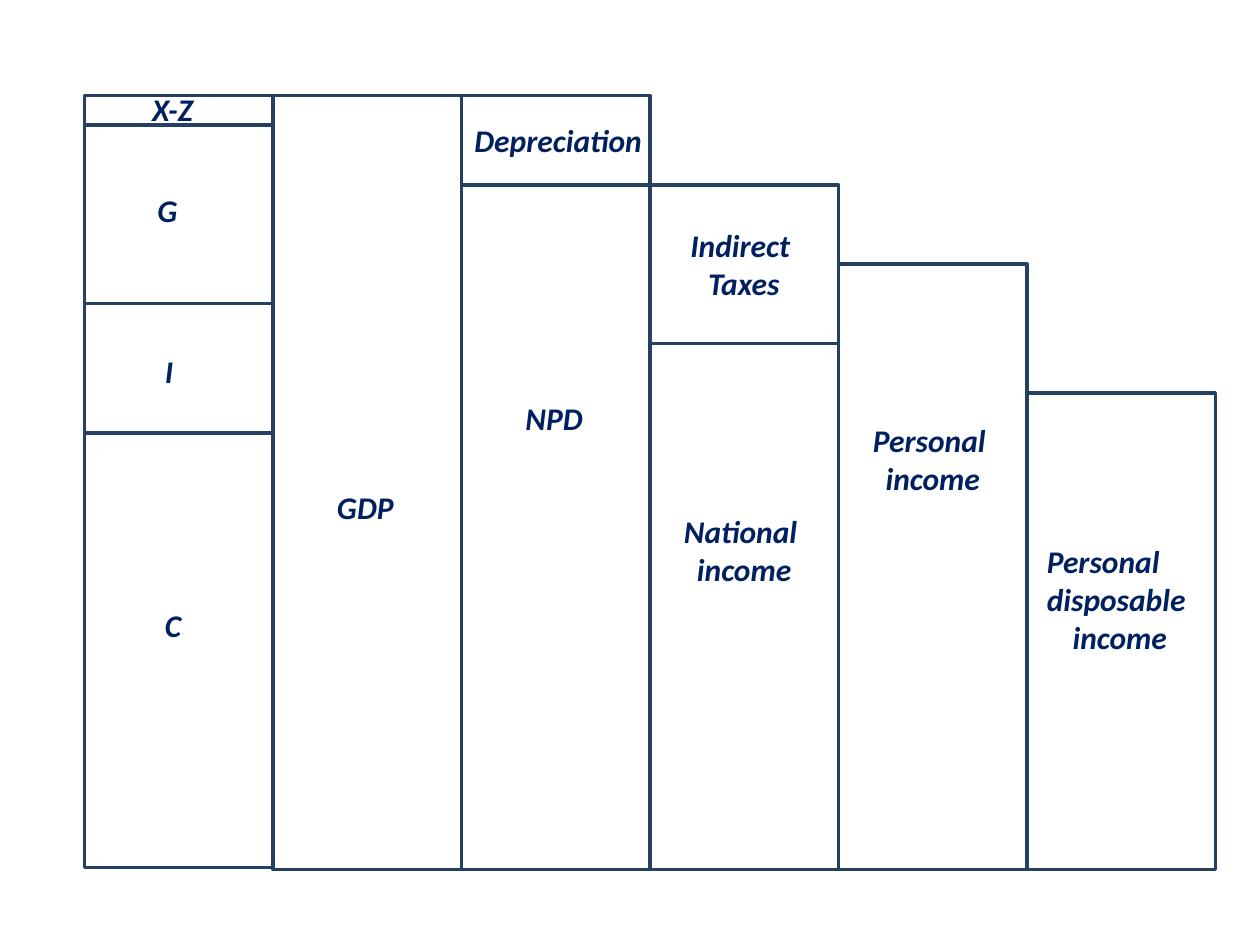
from dataclasses import dataclass
from itertools import pairwise

from pptx import Presentation
from pptx.dml.color import RGBColor
from pptx.enum.shapes import MSO_SHAPE
from pptx.enum.text import MSO_AUTO_SIZE as AutoSize, PP_ALIGN as Align
from pptx.util import Pt

OUTLINE = "254061"
INK = "002060"
FIRST_LEFT = 48.3
COLUMN_WIDTH = 107.7
BASE = 496.8


@dataclass(frozen=True)
class Column:
    """Horizontal edges of one stacked column, from top to bottom."""
    edges: tuple[float, ...]


@dataclass(frozen=True)
class Label:
    """Lines of text, their box, and the lines that are centred."""
    lines: tuple[str, ...]
    left: float
    top: float
    width: float
    height: float = 29
    centred: tuple[int, ...] = ()


COLUMNS = (
    Column((54.5, 71.5, 173.5, 247.5, 495.8)),  # expenditure
    Column((54.5, BASE)),  # GDP
    Column((54.5, 105.6, BASE)),  # depreciation and NPD
    Column((105.6, 196.4, BASE)),  # indirect taxes and national income
    Column((151, BASE)),  # personal income
    Column((224.6, BASE)),  # personal disposable income
)

LABELS = (
    Label(("X-Z",), 79.9, 48.2, 38.9, height=21.6),
    Label(("G",), 82.8, 105.8, 25.9),
    Label(("I",), 87.1, 197.5, 19.4),
    Label(("C",), 87.1, 342.5, 24.5),
    Label(("GDP",), 185.5, 275.3, 47.5),
    Label(("Depreciation",), 264, 65.5, 111.6),
    Label(("NPD",), 293.2, 224.6, 47.5),
    Label(("Indirect ", "Taxes"), 387.4, 125.5, 76.3, 51, (1,)),
    Label(("National ", "income"), 383.2, 289.2, 84.2, 51, (0, 1)),
    Label(("Personal ", "income"), 491, 236.9, 84.2, 51, (0, 1)),
    Label(("Personal ", "disposable ", "income"), 591.1, 306.2, 98.6, 72.7, (2,)),
)


def rgb(code: str) -> RGBColor:
    """Turn a hex string into a colour."""
    return RGBColor.from_string(code)


def add_block(slide, left: float, top: float, bottom: float) -> None:
    """Draw one outlined block of a column."""
    block = slide.shapes.add_shape(
        MSO_SHAPE.RECTANGLE, Pt(left), Pt(top), Pt(COLUMN_WIDTH), Pt(bottom - top))
    block.shadow.inherit = False
    block.fill.background()
    block.line.color.rgb = rgb(OUTLINE)
    block.line.width = Pt(2)


def write_line(paragraph, text: str, *, size: float = 18, font: str = "Calibri",
               color: str = INK, bold: bool = True, italic: bool = True,
               align: Align = Align.LEFT) -> None:
    """Write a formatted line of text into a paragraph."""
    paragraph.alignment = align
    run = paragraph.add_run()
    run.text = text
    run.font.size = Pt(size)
    run.font.name = font
    run.font.bold = bold
    run.font.italic = italic
    run.font.color.rgb = rgb(color)


def add_label(slide, label: Label) -> None:
    """Place a label on the chart."""
    frame = slide.shapes.add_textbox(
        Pt(label.left), Pt(label.top), Pt(label.width), Pt(label.height)).text_frame
    frame.word_wrap = False
    frame.auto_size = AutoSize.SHAPE_TO_FIT_TEXT
    for index, line in enumerate(label.lines):
        paragraph = frame.add_paragraph() if index else frame.paragraphs[0]
        write_line(paragraph, line,
                   align=Align.CENTER if index in label.centred else Align.LEFT)


def main() -> None:
    """Build the national accounts slide."""
    deck = Presentation()
    deck.slide_width, deck.slide_height = Pt(720), Pt(540)
    slide = deck.slides.add_slide(deck.slide_layouts.get_by_name("Blank"))
    for position, column in enumerate(COLUMNS):
        for top, bottom in pairwise(column.edges):
            add_block(slide, FIRST_LEFT + position * COLUMN_WIDTH, top, bottom)
    for label in LABELS:
        add_label(slide, label)
    deck.save("out.pptx")


main()
